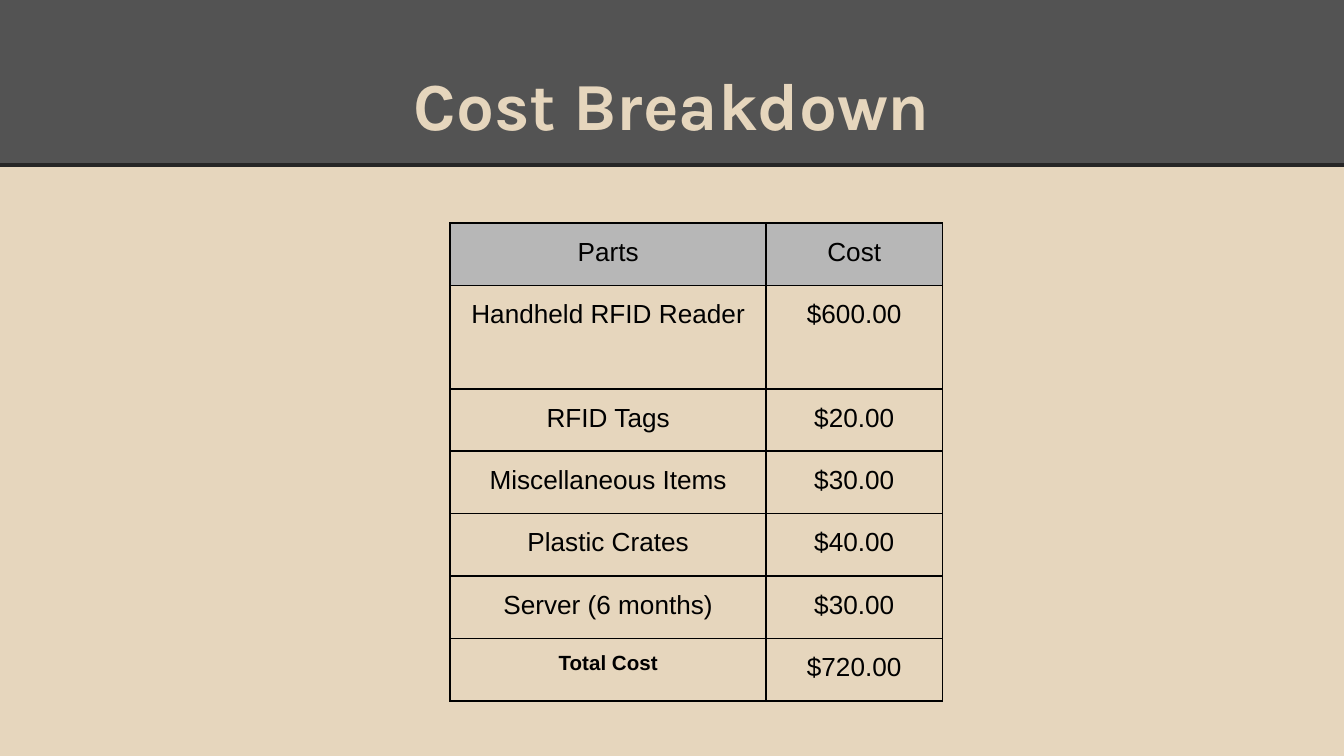
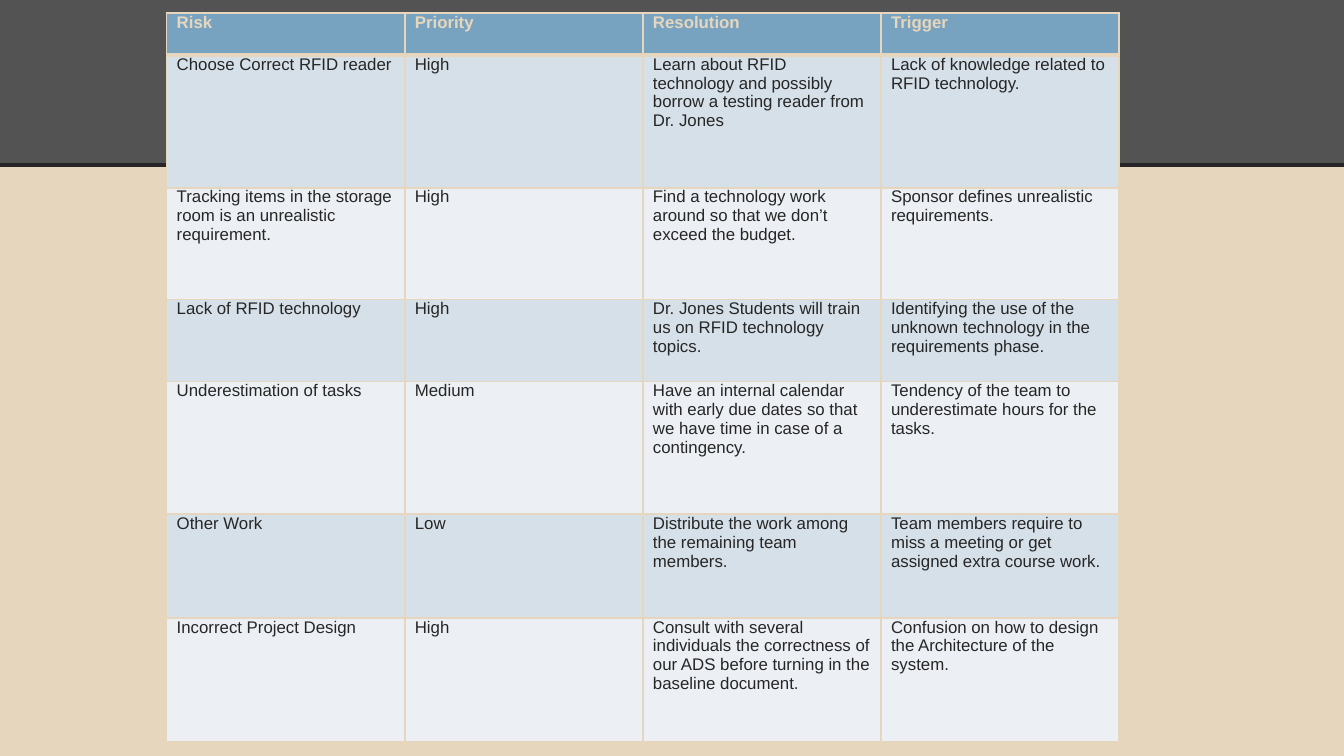
import pptx
import pptx.dml.color
import pptx.enum.shapes
import pptx.enum.text
import pptx.oxml
import pptx.oxml.ns
import pptx.util
import lxml.etree

Cm = pptx.util.Cm
Pt = pptx.util.Pt
Align = pptx.enum.text.PP_ALIGN

SAND = "E6D6BD"
CHARCOAL = "535353"
INK = "262626"
BLACK = "000000"
HEADER_GRAY = "B7B7B7"
HEADER_BLUE = "78A3C0"
BANDS = ("D6E0E8", "ECF0F4")

SLIDE_WIDTH, SLIDE_HEIGHT, BAND_HEIGHT = 25.4, 14.29, 3.12

COSTS = [
    ("Parts", "Cost"),
    ("Handheld RFID Reader", "$600.00"),
    ("RFID Tags", "$20.00"),
    ("Miscellaneous Items", "$30.00"),
    ("Plastic Crates", "$40.00"),
    ("Server (6 months)", "$30.00"),
    ("Total Cost", "$720.00"),
]

RISKS = [
    ("Risk", "Priority", "Resolution", "Trigger"),
    ("Choose Correct RFID reader", "High",
     "Learn about RFID technology and possibly borrow a testing reader from Dr. Jones",
     "Lack of knowledge related to RFID technology."),
    ("Tracking items in the storage room is an unrealistic requirement.", "High",
     "Find a technology work around so that we don’t exceed the budget.",
     "Sponsor defines unrealistic requirements."),
    ("Lack of RFID technology", "High",
     "Dr. Jones Students will train us on RFID technology topics.",
     "Identifying the use of the unknown technology in the requirements phase."),
    ("Underestimation of tasks", "Medium",
     "Have an internal calendar with early due dates so that we have time in case of a contingency.",
     "Tendency of the team to underestimate hours for the tasks."),
    ("Other Work", "Low",
     "Distribute the work among the remaining team members.",
     "Team members require to miss a meeting or get assigned extra course work."),
    ("Incorrect Project Design", "High",
     "Consult with several individuals the correctness of our ADS before turning in the baseline document.",
     "Confusion on how to design the Architecture of the system."),
]


def rgb(color):
    return pptx.dml.color.RGBColor.from_string(color)


class Deck:
    def __init__(self):
        self.presentation = pptx.Presentation()
        self.presentation.slide_width = Cm(SLIDE_WIDTH)
        self.presentation.slide_height = Cm(SLIDE_HEIGHT)
        self.slide = None

    def add_slide(self):
        self.slide = self.presentation.slides.add_slide(self.presentation.slide_layouts[6])
        background = self.slide.background.fill
        background.solid()
        background.fore_color.rgb = rgb(SAND)
        self.band()
        self.rule()

    def band(self):
        shape = self.slide.shapes.add_shape(
            pptx.enum.shapes.MSO_SHAPE.RECTANGLE, 0, 0, Cm(SLIDE_WIDTH), Cm(BAND_HEIGHT))
        shape.shadow.inherit = False
        shape.fill.solid()
        shape.fill.fore_color.rgb = rgb(CHARCOAL)
        shape.line.fill.background()

    def rule(self):
        connector = self.slide.shapes.add_connector(
            pptx.enum.shapes.MSO_CONNECTOR.STRAIGHT,
            0, Cm(BAND_HEIGHT), Cm(SLIDE_WIDTH), Cm(BAND_HEIGHT))
        connector.line.color.rgb = rgb(INK)
        connector.line.width = Pt(2.25)
        lxml.etree.SubElement(connector._element.spPr, pptx.oxml.ns.qn("a:effectLst"))

    def style(self, paragraph, size, color, bold=False, font="Arial"):
        paragraph.font.name = font
        paragraph.font.size = Pt(size)
        paragraph.font.bold = bold
        paragraph.font.color.rgb = rgb(color)

    def title(self, text):
        frame = self.slide.shapes.add_textbox(Cm(1.27), Cm(0.58), Cm(22.86), Cm(2.39)).text_frame
        frame.word_wrap = True
        frame.vertical_anchor = pptx.enum.text.MSO_ANCHOR.BOTTOM
        frame.margin_top = frame.margin_bottom = Cm(0.25)
        paragraph = frame.paragraphs[0]
        paragraph.text = text
        paragraph.alignment = Align.CENTER
        self.style(paragraph, 36, SAND, True, "Karla")

    def table(self, left, top, widths, heights, texts, margin_y):
        table = self.slide.shapes.add_table(
            len(heights), len(widths), Cm(left), Cm(top),
            Cm(sum(widths)), Cm(sum(heights))).table
        table.horz_banding = False
        for column, width in zip(table.columns, widths):
            column.width = Cm(width)
        for row, height, row_texts in zip(table.rows, heights, texts):
            row.height = Cm(height)
            for cell, text in zip(row.cells, row_texts):
                cell.text = text
                cell.margin_left = cell.margin_right = Cm(0.19)
                cell.margin_top = cell.margin_bottom = Cm(margin_y)
        return table

    def paint(self, cell, fill, border, bottom=1):
        properties = cell._tc.get_or_add_tcPr()
        for side in "LRTB":
            width = Pt(bottom if side == "B" else 1)
            properties.append(pptx.oxml.parse_xml(
                f'<a:ln{side} {pptx.oxml.ns.nsdecls("a")} w="{width}"><a:solidFill>'
                f'<a:srgbClr val="{border}"/></a:solidFill></a:ln{side}>'))
        if fill:
            cell.fill.solid()
            cell.fill.fore_color.rgb = rgb(fill)
        else:
            cell.fill.background()

    def cost_table(self):
        heights = [1.18, 1.95] + [1.18] * 5
        table = self.table(8.51, 4.22, [5.97, 3.33], heights, COSTS, 0.19)
        for index, row in enumerate(table.rows):
            for cell in row.cells:
                self.paint(cell, None if index else HEADER_GRAY, BLACK)
                paragraph = cell.text_frame.paragraphs[0]
                paragraph.alignment = Align.CENTER
                paragraph.line_spacing = 1.15
                is_total = cell.text == "Total Cost"
                self.style(paragraph, 11 if is_total else 14, BLACK, is_total)

    def risk_table(self):
        heights = [0.79, 2.51, 2.11, 1.55, 2.51, 1.96, 2.34]
        table = self.table(3.15, 0.25, [4.5] * 4, heights, RISKS, 0)
        for index, row in enumerate(table.rows):
            is_header = index == 0
            fill = HEADER_BLUE if is_header else BANDS[(index - 1) % 2]
            for cell in row.cells:
                self.paint(cell, fill, SAND, 3 if is_header else 1)
                paragraph = cell.text_frame.paragraphs[0]
                paragraph.space_before = Pt(6)
                self.style(paragraph, 9, SAND if is_header else INK, is_header)


def main():
    deck = Deck()
    deck.add_slide()
    deck.title("Cost Breakdown")
    deck.cost_table()
    deck.add_slide()
    deck.risk_table()
    deck.presentation.save("out.pptx")


if __name__ == "__main__":
    main()
